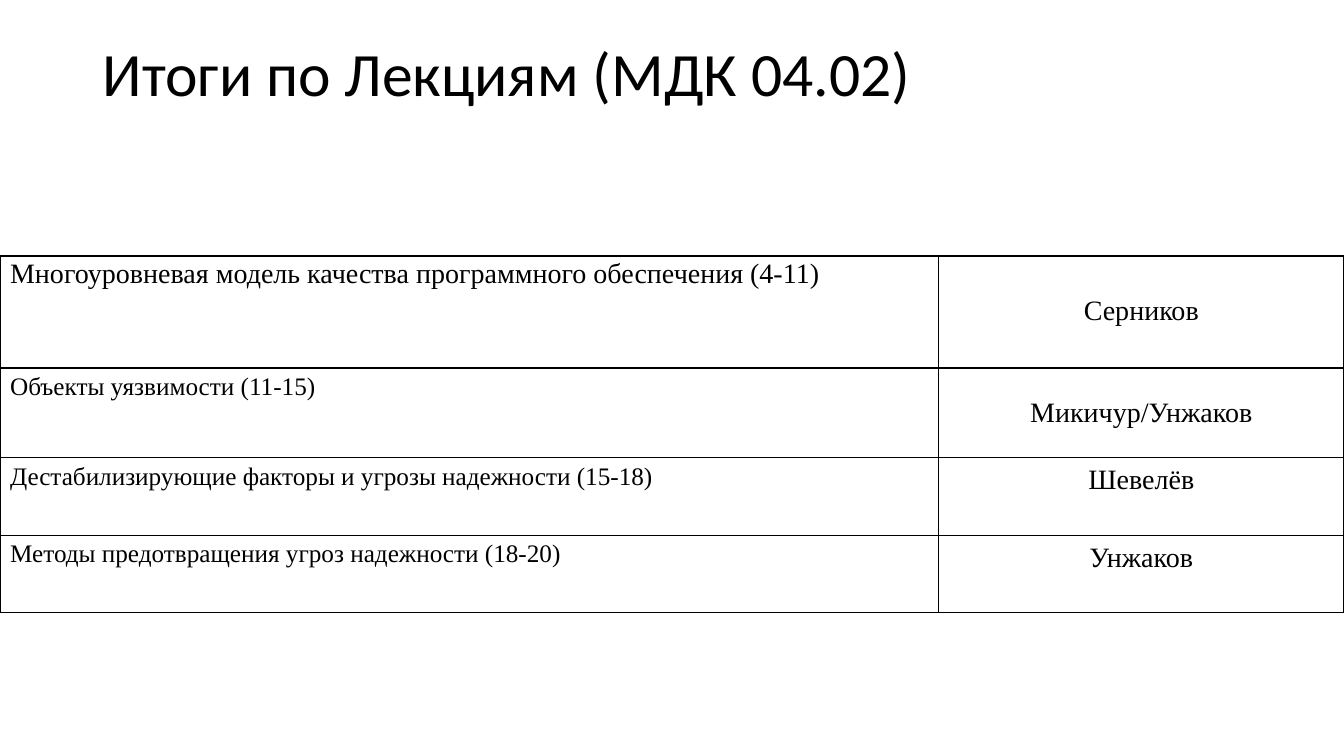
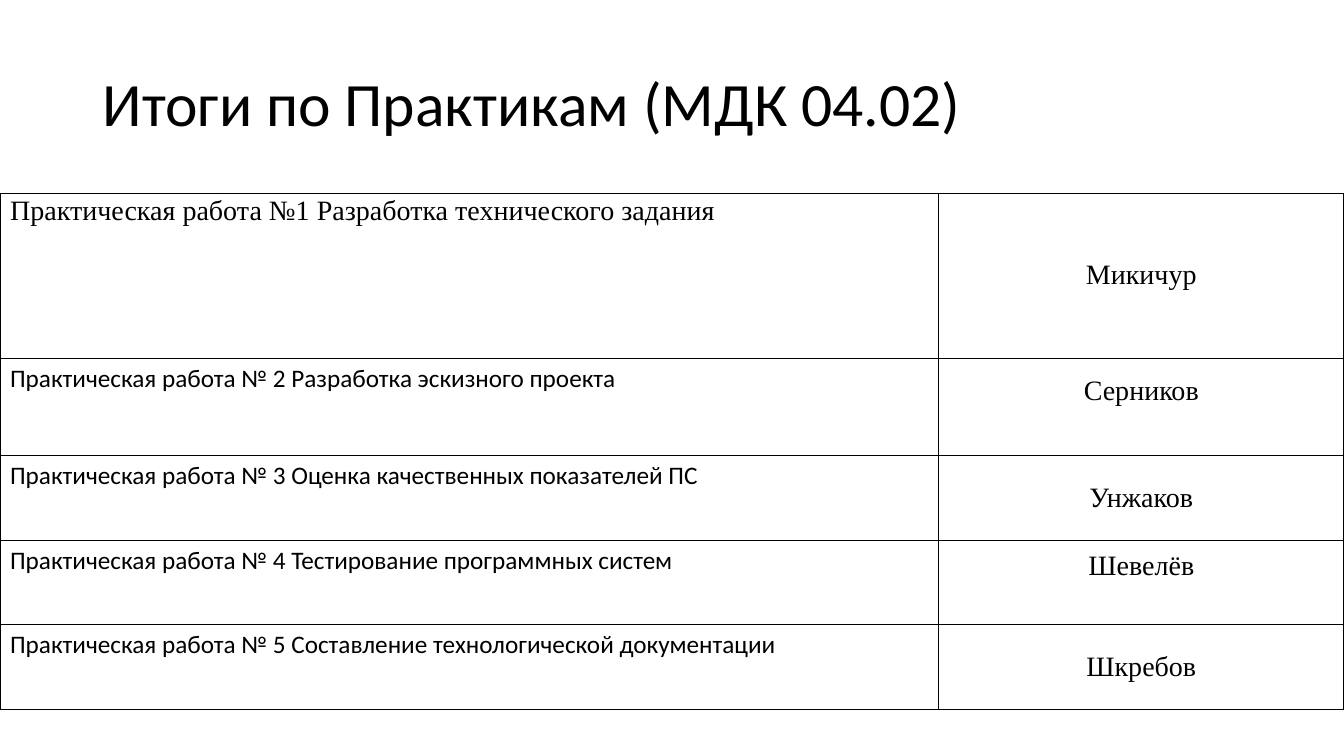
from dataclasses import dataclass

from lxml import etree
from pptx import Presentation
from pptx.dml.color import RGBColor
from pptx.enum.text import MSO_ANCHOR, PP_ALIGN
from pptx.oxml.ns import qn
from pptx.util import Inches, Pt


@dataclass(frozen=True)
class Theme:
    ink: str = "000000"
    paper: str = "FFFFFF"
    sans: str = "Calibri"
    serif: str = "Times New Roman"
    title_size: int = 44
    large_size: int = 20
    topic_size: int = 18
    border_width: int = 1
    tight_spacing: float = 0.9
    header_space: int = 10


THEME = Theme()
COLUMN_WIDTHS = (9.31, 4.02)
CELL_MARGIN = 0.05
RAISED_MARGIN = 0.37


def write(frame, text, size, font, align=PP_ALIGN.LEFT):
    paragraph = frame.paragraphs[0]
    paragraph.alignment = align
    run = paragraph.add_run()
    run.text = text
    run.font.size = Pt(size)
    run.font.name = font
    run.font.color.rgb = RGBColor.from_string(THEME.ink)
    return paragraph


def add_title(slide, text, top):
    box = slide.shapes.add_textbox(Inches(0.92), Inches(top), Inches(11.5), Inches(0.85))
    frame = box.text_frame
    frame.word_wrap = True
    frame.vertical_anchor = MSO_ANCHOR.MIDDLE
    paragraph = write(frame, text, THEME.title_size, THEME.sans)
    paragraph.line_spacing = THEME.tight_spacing


def style_cell(cell):
    properties = cell._tc.get_or_add_tcPr()
    for side in ("a:lnL", "a:lnR", "a:lnT", "a:lnB"):
        line = etree.SubElement(properties, qn(side), w=str(Pt(THEME.border_width)))
        fill = etree.SubElement(line, qn("a:solidFill"))
        etree.SubElement(fill, qn("a:srgbClr"), val=THEME.ink)
    cell.fill.solid()
    cell.fill.fore_color.rgb = RGBColor.from_string(THEME.paper)


def add_results_table(slide, top, rows, topic_font, topic_align):
    height = sum(row[0] for row in rows)
    table = slide.shapes.add_table(
        len(rows), len(COLUMN_WIDTHS), Inches(0), Inches(top),
        Inches(sum(COLUMN_WIDTHS)), Inches(height)).table
    table.first_row = False
    table.horz_banding = False
    for column, width in zip(table.columns, COLUMN_WIDTHS):
        column.width = Inches(width)

    for index, (row_height, topic, student, raised) in enumerate(rows):
        table.rows[index].height = Inches(row_height)
        topic_cell, student_cell = table.rows[index].cells
        first = index == 0
        size = THEME.large_size if first else THEME.topic_size
        font = THEME.serif if first else topic_font
        paragraphs = (
            write(topic_cell.text_frame, topic, size, font, topic_align),
            write(student_cell.text_frame, student, THEME.large_size,
                  THEME.serif, PP_ALIGN.CENTER),
        )
        if first:
            for paragraph in paragraphs:
                paragraph.line_spacing = THEME.tight_spacing
                paragraph.space_before = Pt(THEME.header_space)
        student_cell.vertical_anchor = MSO_ANCHOR.MIDDLE
        student_cell.margin_bottom = Inches(RAISED_MARGIN if raised else CELL_MARGIN)
        for cell in (topic_cell, student_cell):
            style_cell(cell)


def add_results_slide(deck, title, title_top, table_top, rows, topic_font, topic_align):
    slide = deck.slides.add_slide(deck.slide_layouts[6])
    add_title(slide, title, title_top)
    add_results_table(slide, table_top, rows, topic_font, topic_align)


def main():
    deck = Presentation()
    deck.slide_width = Inches(13.33)
    deck.slide_height = Inches(7.5)

    lectures = (
        (1.11, "Многоуровневая модель качества программного обеспечения (4-11)",
         "Серников", False),
        (0.89, "Объекты уязвимости (11-15)", "Микичур/Унжаков", False),
        (0.77, "Дестабилизирующие факторы и угрозы надежности (15-18)", "Шевелёв", True),
        (0.77, "Методы предотвращения угроз надежности (18-20)", "Унжаков", True),
    )
    add_results_slide(deck, "Итоги по Лекциям (МДК 04.02)", 0.33, 2.54,
                      lectures, THEME.serif, PP_ALIGN.JUSTIFY)

    practicals = (
        (1.64, "Практическая работа №1 Разработка технического задания", "Микичур", False),
        (0.96, "Практическая работа № 2 Разработка эскизного проекта", "Серников", True),
        (0.84, "Практическая работа № 3 Оценка качественных показателей ПС",
         "Унжаков", False),
        (0.84, "Практическая работа № 4 Тестирование программных систем",
         "Шевелёв", True),
        (0.84, "Практическая работа № 5 Составление технологической документации",
         "Шкребов", False),
    )
    add_results_slide(deck, "Итоги по Практикам (МДК 04.02)", 0.63, 1.92,
                      practicals, THEME.sans, PP_ALIGN.LEFT)

    deck.save("out.pptx")


main()
